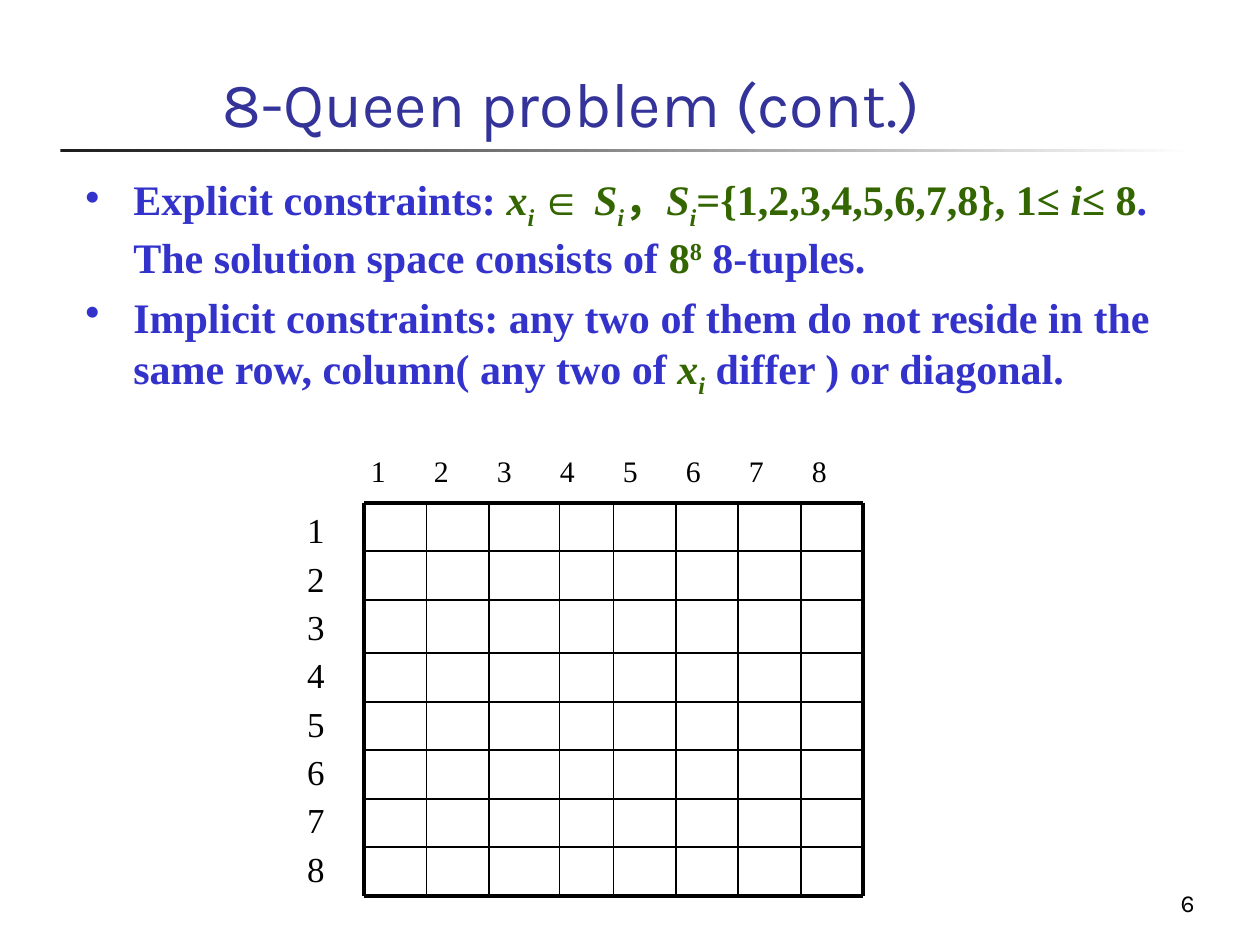
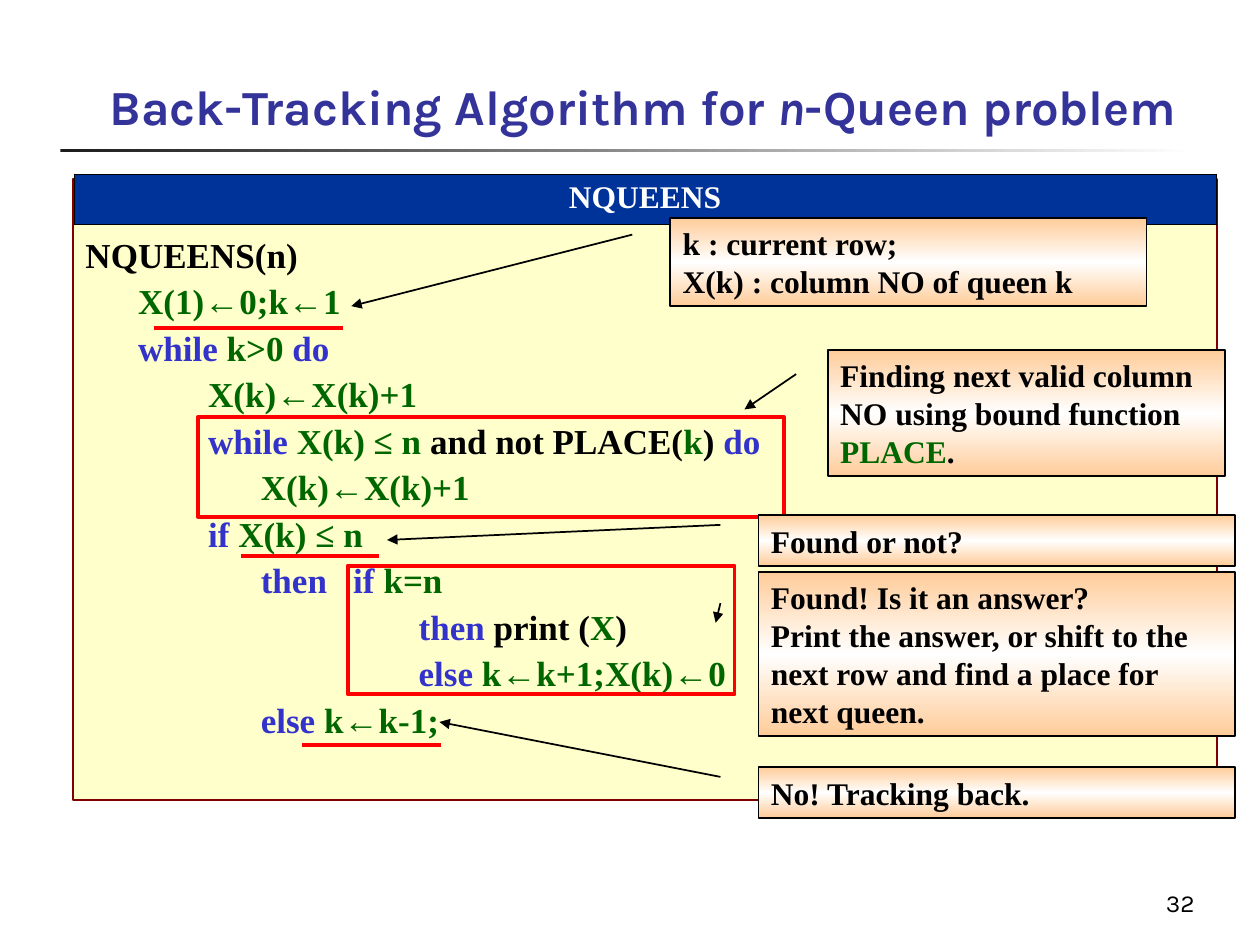
from copy import deepcopy
from dataclasses import dataclass

from lxml.etree import SubElement
from pptx import Presentation
from pptx.dml.color import RGBColor
from pptx.enum.shapes import MSO_CONNECTOR, MSO_SHAPE
from pptx.enum.text import MSO_ANCHOR, PP_ALIGN
from pptx.oxml.ns import qn
from pptx.util import Inches, Pt


@dataclass(frozen=True)
class Theme:
    black: str = "000000"
    white: str = "FFFFFF"
    title: str = "333399"
    blue: str = "3333CC"
    green: str = "336600"
    code_green: str = "006600"
    red: str = "FF0000"
    maroon: str = "800000"
    charcoal: str = "1C1C1C"
    cream: str = "FFFFCC"
    peach: str = "FFCC99"
    navy: str = "003399"
    heading_font: str = "Karla"
    body_font: str = "Times New Roman"
    symbol_font: str = "Arial"
    title_size: int = 36
    long_title_size: int = 28
    body_size: int = 24
    code_size: int = 20
    note_size: int = 18
    column_size: int = 17
    page_size: int = 14
    thin: float = 1
    thick: float = 2.25


T = Theme()
INK = {"k": T.black, "w": T.white, "t": T.title, "b": T.blue, "g": T.green, "c": T.code_green}
rgb = RGBColor.from_string

prs = Presentation()
prs.slide_width, prs.slide_height = Inches(10), Inches(7.5)
COL, ROW = prs.slide_width / 100, prs.slide_height / 75  # grid of 100 columns by 75 rows


def place(col, row, cols, rows):
    return [round(v) for v in (col * COL, row * ROW, cols * COL, rows * ROW)]


def write(tf, paragraphs, size, font=T.body_font, bold=False, align=PP_ALIGN.LEFT,
          anchor=MSO_ANCHOR.TOP, before=0, spacing=None):
    """Each run is (text, style): an ink letter, then i italic, _ subscript, ^ superscript."""
    tf.word_wrap, tf.vertical_anchor = True, anchor
    for n, runs in enumerate(paragraphs):
        p = tf.add_paragraph() if n else tf.paragraphs[0]
        p.alignment = align
        p.space_before = Pt(before if n else 0)
        if spacing:
            p.line_spacing = spacing
        for text, style in runs:
            r = p.add_run()
            r.text = text
            f = r.font
            f.size, f.bold, f.italic = Pt(size), bold, "i" in style[1:]
            f.name = T.symbol_font if text.strip() in ("←", "∈") else font
            f.color.rgb = rgb(INK[style[0]])
            if style[-1] in "_^":
                r._r.get_or_add_rPr().set("baseline", "-25000" if style[-1] == "_" else "30000")


# Shared frame: title, fading rule, page number
frames = [
    ((16.7, 1.7, 78.6, 9.9), [("8-Queen problem (cont.)", "t")], T.title_size, False, "6"),
    ((7.7, 1.3, 87, 9.9), [("Back-Tracking Algorithm for ", "t"), ("n", "ti"),
                           ("-Queen problem", "t")], T.long_title_size, True, "32"),
]
slides = []
for spot, title, size, bold, page in frames:
    slide = prs.slides.add_slide(prs.slide_layouts[6])
    slides.append(slide)
    s = slide.shapes.add_shape(MSO_SHAPE.RECTANGLE, *place(4.8, 11.8, 90, 0.3))
    s.shadow.inherit = False
    s.line.fill.background()
    s.fill.gradient()
    s.fill.gradient_angle = 0
    for stop, color in zip(s.fill.gradient_stops, (T.charcoal, T.white)):
        stop.color.rgb = rgb(color)
    tb = slide.shapes.add_textbox(*place(*spot))
    write(tb.text_frame, [title], size, T.heading_font, bold, anchor=MSO_ANCHOR.BOTTOM)
    tb = slide.shapes.add_textbox(*place(75, 68.3, 20.8, 5))
    write(tb.text_frame, [[(page, "k")]], T.page_size, T.heading_font,
          align=PP_ALIGN.RIGHT, anchor=MSO_ANCHOR.BOTTOM)
board, algorithm = slides

# Constraints
constraints = [
    [("Explicit constraints: ", "b"), ("x", "gi"), ("i ", "gi_"), ("∈ ", "g"), ("S", "gi"),
     ("i", "gi_"), ("，", "g"), ("S", "gi"), ("i", "gi_"), ("={1,2,3,4,5,6,7,8}, 1≤ ", "g"),
     ("i", "gi"), ("≤ 8", "g"), (". The solution space consists of ", "b"), ("8", "g"),
     ("8", "g^"), (" 8-tuples.", "b")],
    [("Implicit constraints: any two of them do not reside in the same row, "
      "column( any two of ", "b"), ("x", "gi"), ("i", "gi_"), (" differ ) or diagonal.", "b")],
]
tb = board.shapes.add_textbox(*place(5.8, 13.3, 90, 53.7))
write(tb.text_frame, constraints, T.body_size, bold=True, before=6)
for p in tb.text_frame.paragraphs:
    pPr = p._p.get_or_add_pPr()
    pPr.set("marL", str(round(3.8 * COL)))
    pPr.set("indent", str(round(-3.8 * COL)))
    SubElement(SubElement(pPr, qn("a:buClr")), qn("a:srgbClr")).set("val", T.blue)
    SubElement(pPr, qn("a:buChar")).set("char", "•")

# Board labels
numbers = [str(n) for n in range(1, 9)]
tb = board.shapes.add_textbox(*place(27.3, 35.8, 42.7, 4))
write(tb.text_frame, [[("\t".join(numbers), "k")]], T.column_size, spacing=0.9)
pPr = tb.text_frame.paragraphs[0]._p.get_or_add_pPr()
pPr.set("marL", str(round(1.15 * COL)))
pPr.set("indent", "0")
tabs = SubElement(pPr, qn("a:tabLst"))
for stop in (5.9, 10.7, 14.8, 18.9, 23.1, 27.2, 30.8):
    tab = SubElement(tabs, qn("a:tab"))
    tab.set("pos", str(round(stop * COL)))
    tab.set("algn", "l")
tb = board.shapes.add_textbox(*place(23.4, 39.9, 4.7, 33.5))
write(tb.text_frame, [[(n, "k")] for n in numbers], T.code_size, spacing=1.15)
tb.text_frame.paragraphs[0].line_spacing = 1.0

# Board grid: the third row is taller and the third column wider
left, right, top, bottom = 28.9, 68.5, 39.9, 71.1
lines = []
for i in range(9):
    x = left + 4.95 * i + (0.65 if i == 3 else 0)
    y = top + 3.85 * i + (0.4 if i >= 3 else 0)
    width = T.thick if i in (0, 8) else T.thin
    lines += [(board, left, y, right, y, T.black, width),
              (board, x, top, x, bottom, T.black, width)]

# Algorithm panel
code = [
    [("NQUEENS(n)", "k")],
    [(" " * 6, "k"), ("X(1)", "c"), ("←", "c"), ("0;k", "c"), ("←", "c"), ("1", "c")],
    [(" " * 6, "k"), ("while ", "b"), ("k>0 ", "c"), ("do", "b")],
    [(" " * 14, "k"), ("X(k)", "c"), ("←", "c"), ("X(k)+1", "c")],
    [(" " * 14, "k"), ("while ", "b"), ("X(k) ≤ n", "c"), (" and not PLACE(", "k"),
     ("k", "c"), (") ", "k"), ("do", "b")],
    [(" " * 20, "k"), ("X(k)", "c"), ("←", "c"), ("X(k)+1", "c")],
    [(" " * 14, "k"), ("if ", "b"), ("X(k) ≤ n", "c")],
    [(" " * 20, "k"), ("then   if ", "b"), ("k=n", "c")],
    [(" " * 38, "k"), ("then", "b"), (" print (", "k"), ("X", "c"), (")", "k")],
    [(" " * 38, "k"), ("else ", "b"), ("k", "c"), ("←", "c"), ("k+1;X(k)", "c"),
     ("←", "c"), ("0", "c")],
    [(" " * 20, "k"), ("else", "b"), (" k", "c"), ("←", "c"), ("k-1;", "c")],
]
s = algorithm.shapes.add_shape(MSO_SHAPE.RECTANGLE, *place(5.8, 14.2, 90.8, 49.3))
s.shadow.inherit = False
s.fill.solid()
s.fill.fore_color.rgb = rgb(T.cream)
s.line.color.rgb = rgb(T.maroon)
s.line.width = Pt(0.75)
write(s.text_frame, code, T.code_size, bold=True, anchor=MSO_ANCHOR.MIDDLE,
      before=5, spacing=0.9)

# Panel heading
table = algorithm.shapes.add_table(1, 1, *place(5.9, 13.8, 90.6, 4)).table
cell = table.cell(0, 0)
write(cell.text_frame, [[("NQUEENS", "w")]], T.note_size, bold=True, align=PP_ALIGN.CENTER)
tcPr = cell._tc.get_or_add_tcPr()
for side in ("a:lnL", "a:lnR", "a:lnT", "a:lnB"):
    ln = SubElement(tcPr, qn(side))
    ln.set("w", str(Pt(0.45)))
    SubElement(SubElement(ln, qn("a:solidFill")), qn("a:srgbClr")).set("val", T.black)
cell.fill.solid()
cell.fill.fore_color.rgb = rgb(T.navy)

# Frames around the search and answer steps
for spot in ((15.7, 33.1, 46.5, 7.9), (27.6, 44.9, 30.7, 10.2)):
    s = algorithm.shapes.add_shape(MSO_SHAPE.RECTANGLE, *place(*spot))
    s.shadow.inherit = False
    s.fill.background()
    s.line.color.rgb = rgb(T.red)
    s.line.width = Pt(T.thick)

# Callouts: place, pointer tip (down, across as shares of the box), text
callouts = [
    ((53.2, 17.3, 37.8, 7), (1.0, -0.67),
     [[("k : current row;", "k")], [("X(k) : column NO of queen k", "k")]]),
    ((65.7, 27.8, 31.5, 10), (0.47, -0.21),
     [[("Finding next valid column NO using bound function ", "k"), ("PLACE", "c"), (".", "k")]]),
    ((60.2, 45.4, 37.8, 13), (0.31, -0.09),
     [[("Found! Is it an answer?", "k")],
      [("Print the answer, or shift to the next row and find a place for next queen.", "k")]]),
    ((60.2, 40.9, 37.8, 4), (0.49, -0.78), [[("Found or not?", "k")]]),
    ((60.2, 60.9, 37.8, 4), (-0.9, -0.67), [[("No! Tracking back.", "k")]]),
]
for spot, tip, text in callouts:
    s = algorithm.shapes.add_shape(MSO_SHAPE.LINE_CALLOUT_1, *place(*spot))
    s.shadow.inherit = False
    for i, value in enumerate((0.19, -0.08, *tip)):
        s.adjustments[i] = value
    s.fill.gradient()
    s.fill.gradient_angle = 90
    stops = s._element.spPr.find(".//" + qn("a:gsLst"))
    middle = deepcopy(stops[0])
    middle.set("pos", "50000")
    stops.insert(1, middle)
    for stop, color in zip(s.fill.gradient_stops, (T.peach, T.white, T.peach)):
        stop.color.rgb = rgb(color)
    s.line.color.rgb = rgb(T.black)
    s.line.width = Pt(T.thin)
    SubElement(s.line._get_or_add_ln(), qn("a:tailEnd")).set("type", "triangle")
    write(s.text_frame, text, T.note_size, bold=True)

# Underlines, then every straight line
for x1, x2, y in ((12.2, 27.2, 26), (19.1, 30.1, 44.1), (24, 35, 59.1)):
    lines.append((algorithm, x1, y, x2, y, T.red, T.thick))
for slide, x1, y1, x2, y2, color, width in lines:
    s = slide.shapes.add_connector(MSO_CONNECTOR.STRAIGHT, *place(x1, y1, x2, y2))
    s.line.color.rgb = rgb(color)
    s.line.width = Pt(width)
    SubElement(s._element.spPr, qn("a:effectLst"))

prs.save("out.pptx")
